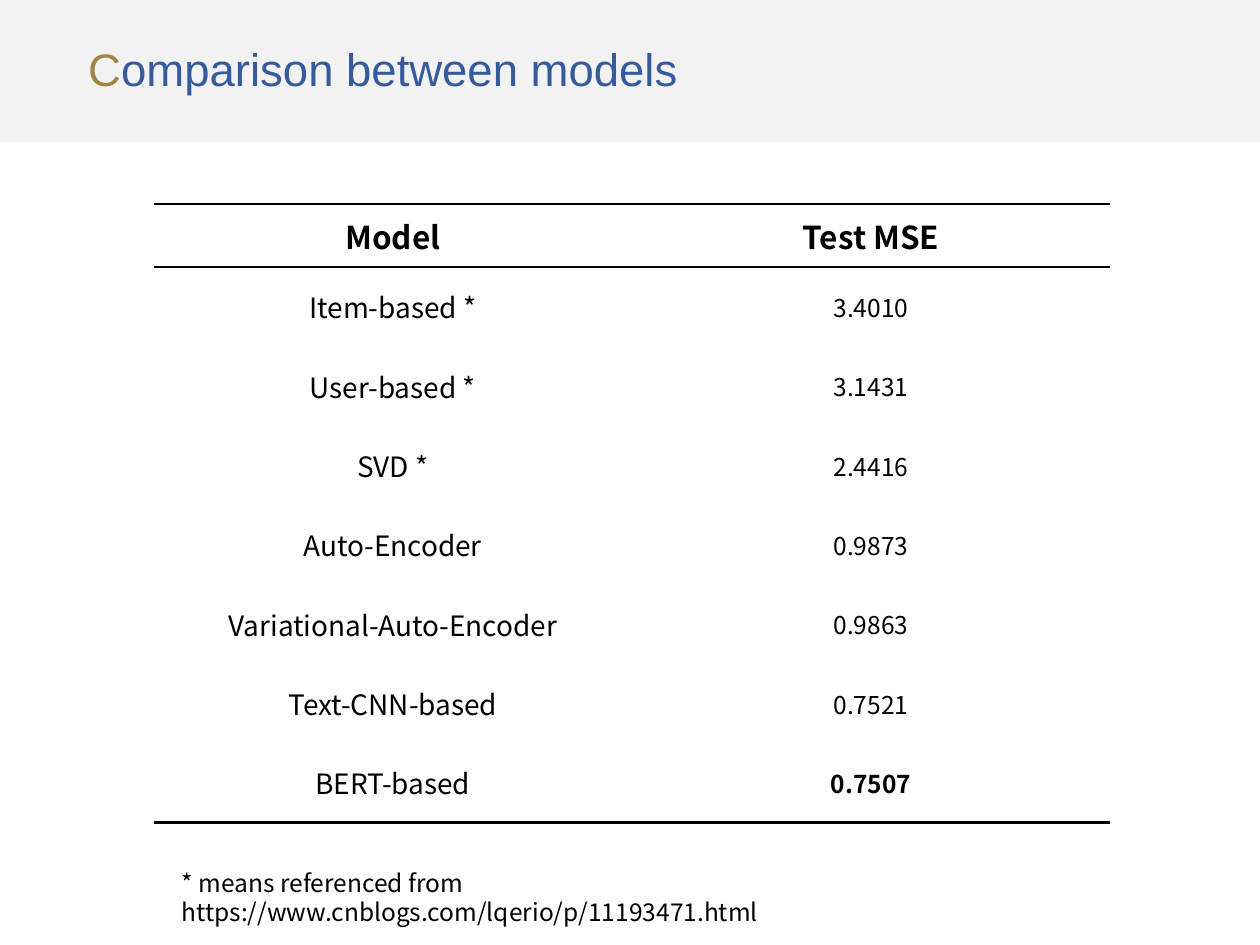
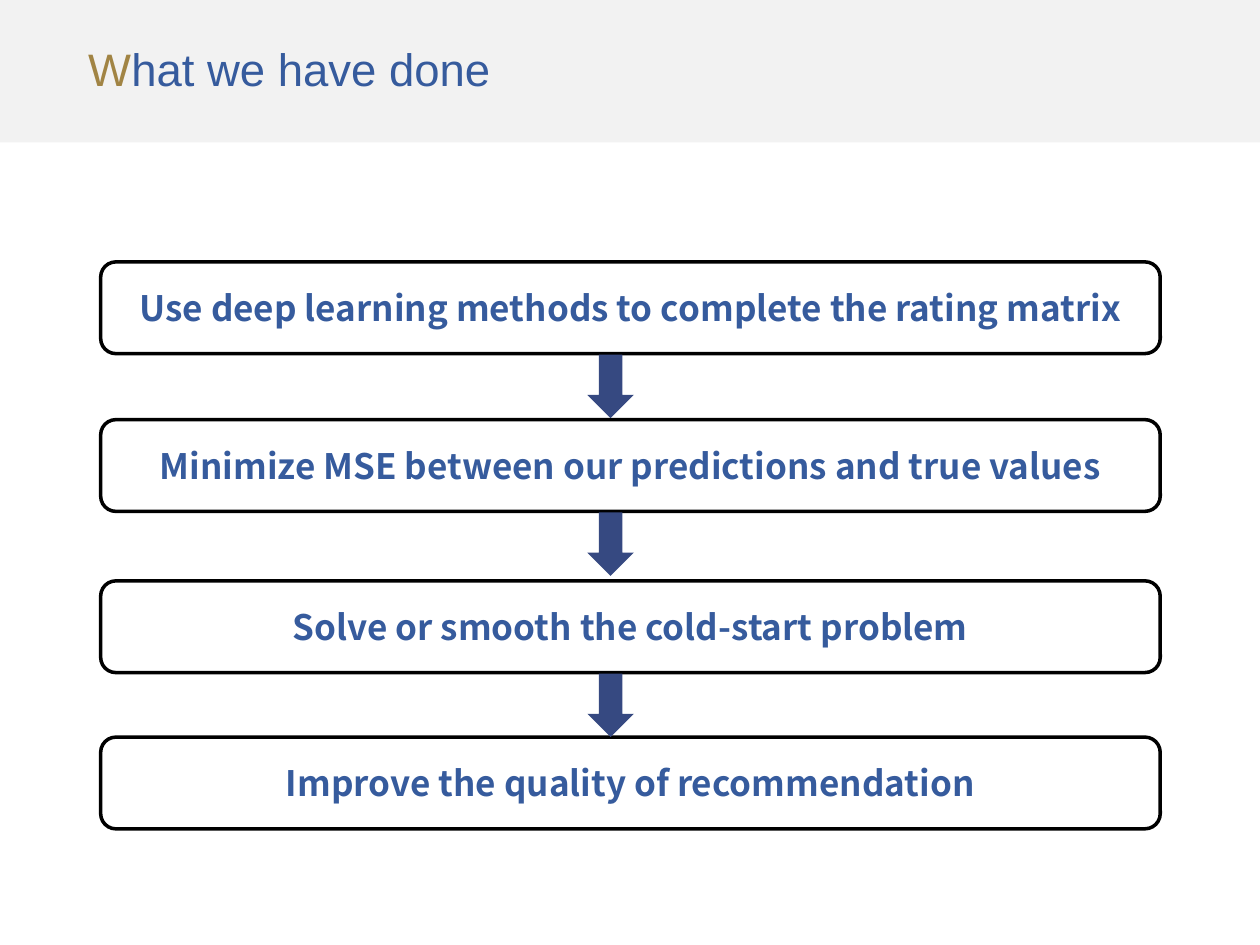
from lxml.etree import SubElement
from pptx import Presentation
from pptx.dml.color import RGBColor
from pptx.enum.shapes import MSO_SHAPE
from pptx.enum.text import MSO_ANCHOR, PP_ALIGN
from pptx.oxml.ns import qn
from pptx.util import Cm, Pt

COMPARISON_TITLE = "Comparison between models"
TABLE_HEADER = ("Model", "Test MSE")
MODEL_SCORES = [
    ("Item-based *", "3.4010"),
    ("User-based *", "3.1431"),
    ("SVD *", "2.4416"),
    ("Auto-Encoder", "0.9873"),
    ("Variational-Auto-Encoder", "0.9863"),
    ("Text-CNN-based", "0.7521"),
    ("BERT-based", "0.7507"),
]
BEST_SCORE = "0.7507"
FOOTNOTE = "* means referenced from https://www.cnblogs.com/lqerio/p/11193471.html"

DONE_TITLE = "What we have done"
STEPS = [
    ("Use deep learning methods to complete the rating matrix", Cm(5.28)),
    ("Minimize MSE between our predictions and true values", Cm(8.46)),
    ("Solve or smooth the cold-start problem", Cm(11.71)),
    ("Improve the quality of recommendation", Cm(14.86)),
]

BLACK = RGBColor(0x00, 0x00, 0x00)
BLUE = RGBColor(0x36, 0x5B, 0x9D)
GOLD = RGBColor(0xA1, 0x84, 0x44)
NAVY = RGBColor(0x36, 0x49, 0x81)
BAND_GREY = RGBColor(0xF2, 0xF2, 0xF2)
TITLE_FONT = "Arial"
BODY_FONT = "Noto Sans CJK SC"

SLIDE_WIDTH, SLIDE_HEIGHT = Cm(25.4), Cm(19.05)
BAND_HEIGHT = Cm(2.87)
INSET = Cm(0.13)
COLUMN_WIDTH = Cm(9.64)
HEADER_HEIGHT, SCORE_HEIGHT = Cm(1.27), Cm(1.6)
RULE_WIDTH = Pt(1.5)
STEP_LEFT, STEP_WIDTH, STEP_HEIGHT = Cm(2.03), Cm(21.36), Cm(1.85)
ARROW_LEFT, ARROW_WIDTH, ARROW_HEIGHT = Cm(11.84), Cm(0.94), Cm(1.28)
ARROW_GAP = Cm(0.02)


def add_run(paragraph, text, size, color, font=BODY_FONT, bold=False):
    run = paragraph.add_run()
    run.text = text
    run.font.name = font
    run.font.size = Pt(size)
    run.font.bold = bold
    run.font.color.rgb = color


def set_insets(holder):
    holder.margin_left = holder.margin_right = INSET
    holder.margin_top = holder.margin_bottom = INSET


def add_text_box(slide, left, top, width, height):
    frame = slide.shapes.add_textbox(left, top, width, height).text_frame
    frame.word_wrap = True
    set_insets(frame)
    return frame.paragraphs[0]


def add_filled_shape(slide, preset, left, top, width, height, color):
    shape = slide.shapes.add_shape(preset, left, top, width, height)
    shape.shadow.inherit = False
    shape.fill.solid()
    shape.fill.fore_color.rgb = color
    shape.line.fill.background()


def add_titled_slide(deck, title):
    slide = deck.slides.add_slide(deck.slide_layouts[6])
    add_filled_shape(slide, MSO_SHAPE.RECTANGLE, 0, 0, SLIDE_WIDTH, BAND_HEIGHT, BAND_GREY)
    heading = add_text_box(slide, Cm(1.65), Cm(0.69), Cm(13.28), Cm(1.55))
    add_run(heading, title[0], 26, GOLD, TITLE_FONT)
    add_run(heading, title[1:], 26, BLUE, TITLE_FONT)
    return slide


def set_borders(cell, ruled_top, ruled_bottom):
    properties = cell._tc.get_or_add_tcPr()
    sides = {"a:lnL": False, "a:lnR": False, "a:lnT": ruled_top, "a:lnB": ruled_bottom}
    for side, ruled in sides.items():
        border = SubElement(properties, qn(side))
        if ruled:
            border.set("w", str(RULE_WIDTH))
            fill = SubElement(border, qn("a:solidFill"))
            SubElement(fill, qn("a:srgbClr")).set("val", str(BLACK))
        else:
            SubElement(border, qn("a:noFill"))


def add_score_table(slide):
    rows = [TABLE_HEADER, *MODEL_SCORES]
    columns = len(TABLE_HEADER)
    ruled_edges = {0, 1, len(rows)}
    height = HEADER_HEIGHT + SCORE_HEIGHT * len(MODEL_SCORES)
    table = slide.shapes.add_table(
        len(rows), columns, Cm(3.1), Cm(4.11), COLUMN_WIDTH * columns, height
    ).table
    table.first_row = table.horz_banding = False
    for column in table.columns:
        column.width = COLUMN_WIDTH
    for row_index, values in enumerate(rows):
        is_header = row_index == 0
        table.rows[row_index].height = HEADER_HEIGHT if is_header else SCORE_HEIGHT
        sizes = (18, 18) if is_header else (16, 14)
        for column_index, (value, size) in enumerate(zip(values, sizes)):
            cell = table.cell(row_index, column_index)
            set_borders(cell, row_index in ruled_edges, row_index + 1 in ruled_edges)
            cell.fill.background()
            set_insets(cell)
            cell.vertical_anchor = MSO_ANCHOR.MIDDLE
            paragraph = cell.text_frame.paragraphs[0]
            paragraph.alignment = PP_ALIGN.CENTER
            add_run(paragraph, value, size, BLACK, bold=is_header or value == BEST_SCORE)


def add_step(slide, text, top):
    step = slide.shapes.add_shape(
        MSO_SHAPE.ROUNDED_RECTANGLE, STEP_LEFT, top, STEP_WIDTH, STEP_HEIGHT
    )
    step.shadow.inherit = False
    step.fill.background()
    step.line.color.rgb = BLACK
    step.line.width = Pt(2)
    frame = step.text_frame
    frame.word_wrap = True
    frame.vertical_anchor = MSO_ANCHOR.MIDDLE
    set_insets(frame)
    paragraph = frame.paragraphs[0]
    paragraph.alignment = PP_ALIGN.CENTER
    add_run(paragraph, text, 20, BLUE, bold=True)


def build_comparison(deck):
    slide = add_titled_slide(deck, COMPARISON_TITLE)
    add_score_table(slide)
    footnote = add_text_box(slide, Cm(3.53), Cm(17.37), Cm(16.38), Cm(0.86))
    add_run(footnote, FOOTNOTE, 14, BLACK)


def build_done(deck):
    slide = add_titled_slide(deck, DONE_TITLE)
    for text, top in STEPS:
        add_step(slide, text, top)
    for _, top in STEPS[:-1]:
        add_filled_shape(
            slide, MSO_SHAPE.DOWN_ARROW, ARROW_LEFT, top + STEP_HEIGHT + ARROW_GAP,
            ARROW_WIDTH, ARROW_HEIGHT, NAVY,
        )


def main():
    deck = Presentation()
    deck.slide_width, deck.slide_height = SLIDE_WIDTH, SLIDE_HEIGHT
    build_comparison(deck)
    build_done(deck)
    deck.save("out.pptx")


if __name__ == "__main__":
    main()
